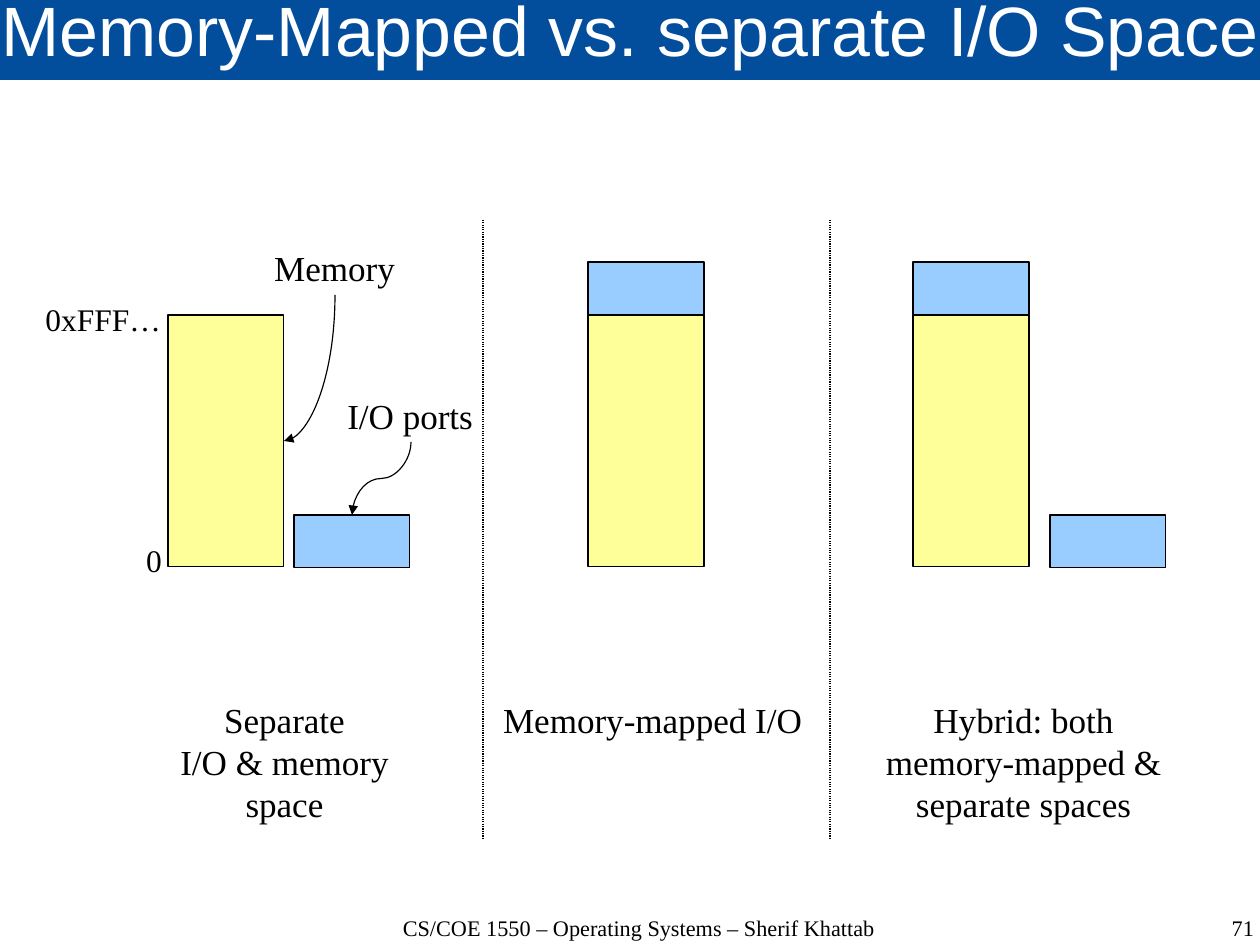
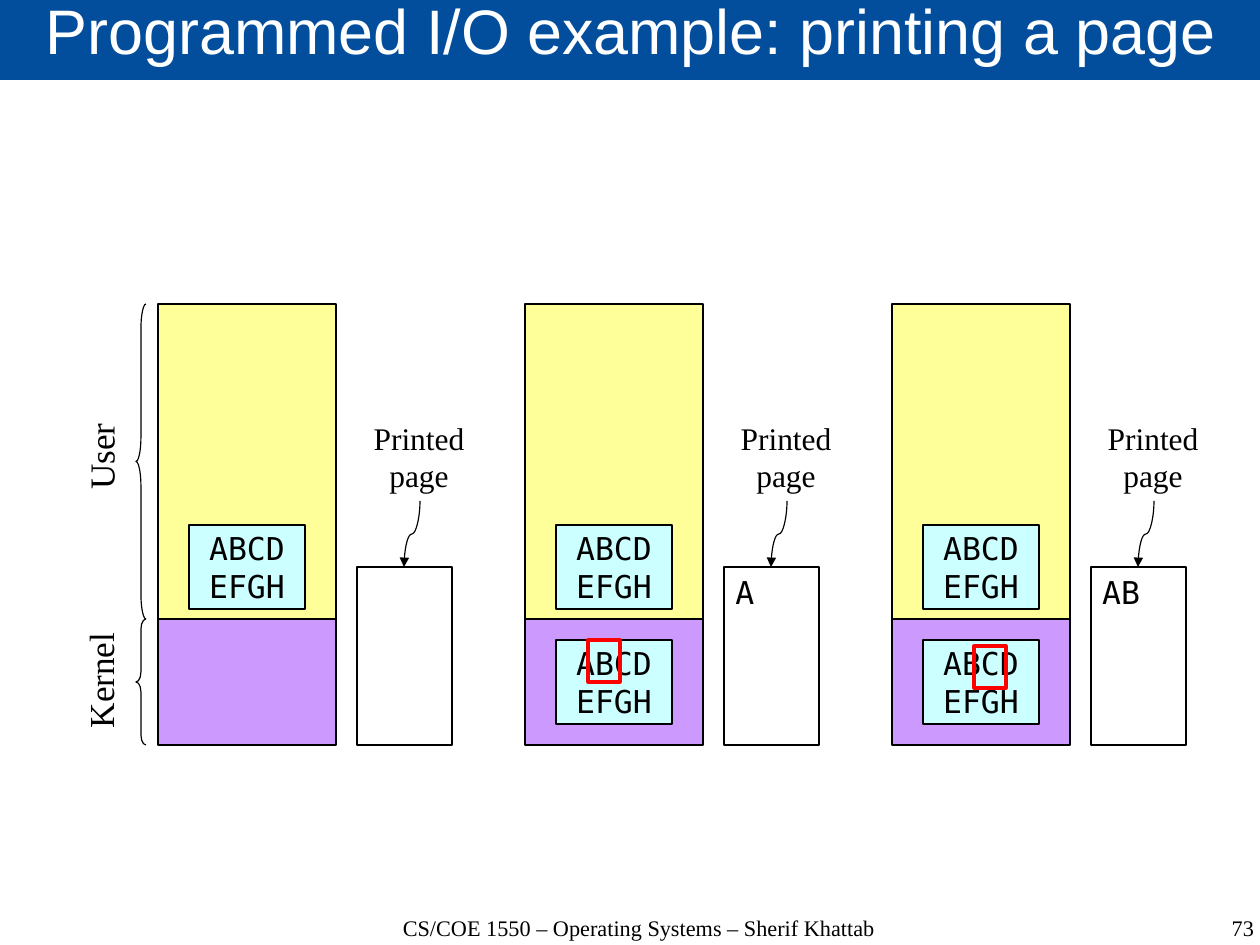
from dataclasses import dataclass

from lxml.etree import SubElement
from pptx import Presentation
from pptx.dml.color import RGBColor
from pptx.enum.dml import MSO_LINE
from pptx.enum.shapes import MSO_CONNECTOR, MSO_SHAPE
from pptx.enum.text import MSO_ANCHOR, MSO_AUTO_SIZE, PP_ALIGN
from pptx.oxml.ns import qn
from pptx.util import Pt

PX = 8000


@dataclass(frozen=True)
class Theme:
    band: str = "024E9D"
    ink: str = "000000"
    white: str = "FFFFFF"
    memory: str = "FFFF99"
    ports: str = "99CCFF"
    kernel: str = "CC99FF"
    buffer: str = "CCFFFF"
    marker: str = "FF0000"
    title_font: str = "Arial"
    body_font: str = "Times New Roman"
    code_font: str = "DejaVu Sans Mono"
    label: float = 22.1
    small: float = 19.8
    footer: float = 14
    thin: float = 0.75
    thick: float = 2


theme = Theme()


def block(slide, at, fill=None, line=theme.ink, weight=theme.thin, preset=MSO_SHAPE.RECTANGLE):
    shape = slide.shapes.add_shape(preset, *(v * PX for v in at))
    shape.shadow.inherit = False
    if fill:
        shape.fill.solid()
        shape.fill.fore_color.rgb = RGBColor.from_string(fill)
    else:
        shape.fill.background()
    shape.line.color.rgb = RGBColor.from_string(line)
    shape.line.width = Pt(weight)
    return shape


def write(shape, text, size, align=PP_ALIGN.CENTER, font=theme.body_font, color=theme.ink,
          anchor=MSO_ANCHOR.TOP, spacing=None, grow=False):
    frame = shape.text_frame
    frame.word_wrap = spacing is not None
    frame.auto_size = MSO_AUTO_SIZE.SHAPE_TO_FIT_TEXT if grow else MSO_AUTO_SIZE.NONE
    frame.vertical_anchor = anchor
    paragraph = frame.paragraphs[0]
    paragraph.text = text
    paragraph.alignment = align
    if spacing:
        frame.margin_left = frame.margin_right = frame.margin_top = frame.margin_bottom = 0
        paragraph.line_spacing = spacing
    paragraph.font.size = Pt(size)
    paragraph.font.name = font
    paragraph.font.color.rgb = RGBColor.from_string(color)


deck = Presentation()
deck.slide_width, deck.slide_height = 1260 * PX, 945 * PX

for heading, heading_size, number in (
    ("Memory-Mapped vs. separate I/O Space", 44, "71"),
    ("Programmed I/O example: printing a page", 39.6, "73"),
):
    slide = deck.slides.add_slide(deck.slide_layouts[5])
    title = slide.shapes.title
    title.left, title.top, title.width, title.height = (v * PX for v in (0, -2, 1262, 82))
    title.fill.solid()
    title.fill.fore_color.rgb = RGBColor.from_string(theme.band)
    write(title, heading, heading_size, font=theme.title_font, color=theme.white,
          anchor=MSO_ANCHOR.MIDDLE, spacing=0.69)
    for text, left, width, align in (
        ("CS/COE 1550 – Operating Systems – Sherif Khattab", 351, 576, PP_ALIGN.CENTER),
        (number, 965, 289, PP_ALIGN.RIGHT),
    ):
        footer = slide.shapes.add_textbox(left * PX, 916 * PX, width * PX, 63 * PX)
        write(footer, text, theme.footer, align, spacing=0.96)

spaces, printing = deck.slides
lines = []

for left in (168, 588, 913):
    block(spaces, (left, 315, 116, 252), theme.memory)
for left, top in ((294, 515), (588, 262), (913, 262), (1050, 515)):
    block(spaces, (left, top, 116, 53), theme.ports)

for text, at, size, align in (
    ("Separate\nI/O & memory\nspace", (168, 693, 233, 138), theme.label, PP_ALIGN.CENTER),
    ("Memory-mapped I/O", (490, 693, 325, 54), theme.label, PP_ALIGN.CENTER),
    ("Hybrid: both\nmemory-mapped &\nseparate spaces", (873, 693, 301, 138), theme.label,
     PP_ALIGN.CENTER),
    ("0xFFF…", (33, 294, 139, 49), theme.small, PP_ALIGN.RIGHT),
    ("0", (134, 535, 39, 49), theme.small, PP_ALIGN.RIGHT),
    ("Memory", (263, 241, 145, 54), theme.label, PP_ALIGN.LEFT),
    ("I/O ports", (336, 389, 150, 54), theme.label, PP_ALIGN.LEFT),
):
    label = spaces.shapes.add_textbox(*(v * PX for v in at))
    write(label, text, size, align, grow=True)

for x in (483, 830):
    divider = spaces.shapes.add_connector(MSO_CONNECTOR.STRAIGHT, x * PX, 220 * PX, x * PX, 840 * PX)
    divider.line.dash_style = MSO_LINE.ROUND_DOT
    lines.append(divider)

for name, top, height, bend, name_at in (
    ("User", 304, 315, 2.5, (56, 429, 90, 54)),
    ("Kernel", 619, 126, 1, (41, 653, 119, 54)),
):
    brace = block(printing, (136, top, 10, height), preset=MSO_SHAPE.LEFT_BRACE)
    brace.adjustments[0] = bend
    brace.adjustments[1] = 0.5
    mode = printing.shapes.add_textbox(*(v * PX for v in name_at))
    mode.rotation = 270
    write(mode, name, theme.label, PP_ALIGN.LEFT, grow=True)

arrows = [
    (spaces, "curvedConnector2", 335, 295, 284, 441),
    (spaces, "curvedConnector3", 411, 442, 352, 515),
]
for step, (printed, buffer_tops, marker_offset) in enumerate((
    ("", (525,), None),
    ("A", (525, 640), (63, 640)),
    ("AB", (525, 640), (82, 646)),
)):
    left = 158 + step * 367
    block(printing, (left, 304, 178, 315), theme.memory)
    block(printing, (left, 619, 178, 126), theme.kernel)
    page = block(printing, (left + 199, 567, 95, 178), theme.white)
    if printed:
        write(page, printed, theme.small, PP_ALIGN.LEFT, theme.code_font)
    caption = printing.shapes.add_textbox((left + 204) * PX, 413 * PX, 114 * PX, 88 * PX)
    write(caption, "Printed\npage", theme.small, grow=True)
    arrows.append((printing, "curvedConnector3", left + 262, 501, left + 246, 567))
    for top in buffer_tops:
        buffer = block(printing, (left + 31, top, 116, 84), theme.buffer)
        write(buffer, "ABCD\nEFGH", theme.small, font=theme.code_font, anchor=MSO_ANCHOR.MIDDLE)
    if marker_offset:
        block(printing, (left + marker_offset[0], marker_offset[1], 32, 42),
              line=theme.marker, weight=theme.thick)

for slide, preset, x1, y1, x2, y2 in arrows:
    center_x, center_y = (x1 + x2) * PX // 2, (y1 + y2) * PX // 2
    half_run, half_rise = (y2 - y1) * PX // 2, (x1 - x2) * PX // 2
    arrow = slide.shapes.add_connector(
        MSO_CONNECTOR.CURVE, center_x - half_run, center_y - half_rise,
        center_x + half_run, center_y + half_rise)
    properties = arrow._element.spPr
    properties.find(qn("a:xfrm")).set("rot", "5400000")
    properties.find(qn("a:prstGeom")).set("prst", preset)
    SubElement(arrow.line._get_or_add_ln(), qn("a:tailEnd"), type="triangle")
    lines.append(arrow)

for line in lines:
    line.line.color.rgb = RGBColor.from_string(theme.ink)
    line.line.width = Pt(theme.thin)
    SubElement(line._element.spPr, qn("a:effectLst"))

deck.save("out.pptx")
